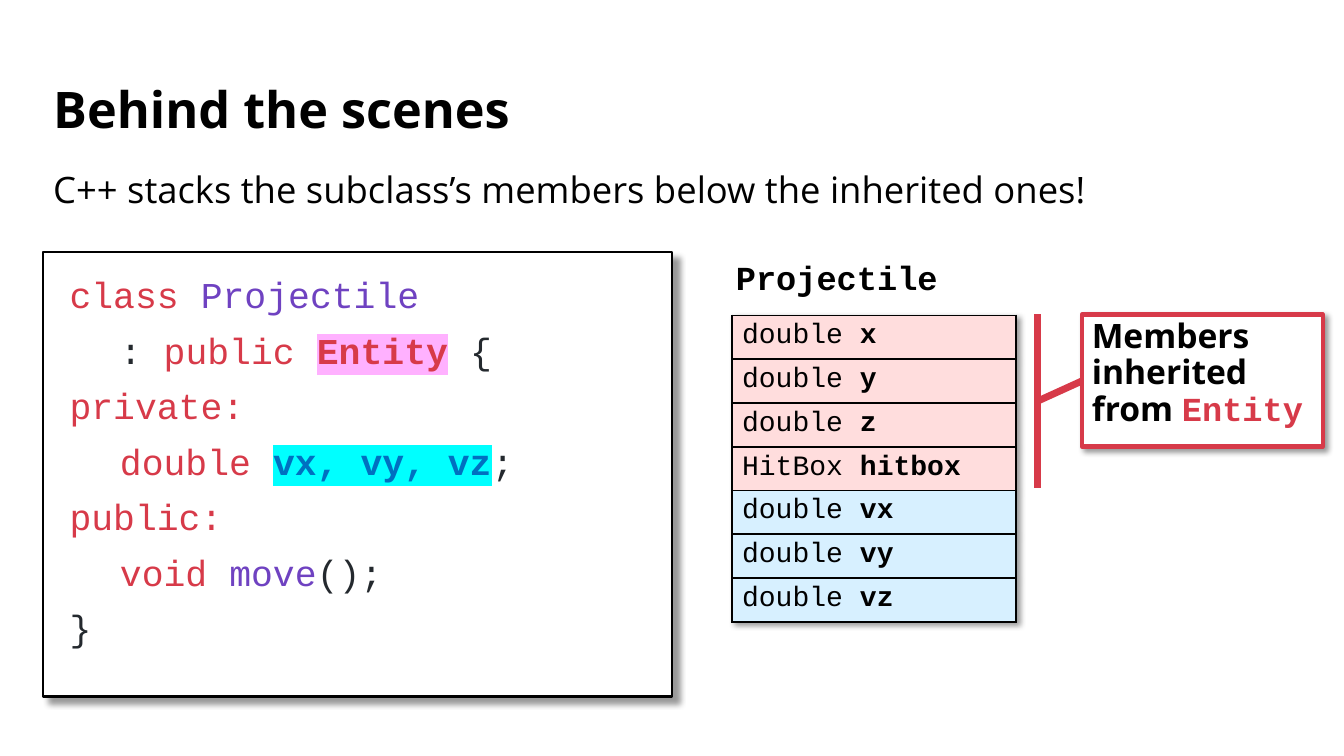
from dataclasses import dataclass

from lxml.etree import SubElement
from pptx import Presentation
from pptx.dml.color import RGBColor
from pptx.enum.shapes import MSO_CONNECTOR, MSO_SHAPE
from pptx.enum.text import MSO_ANCHOR
from pptx.oxml.ns import qn
from pptx.util import Inches, Pt


@dataclass(frozen=True)
class Theme:
    sans: str = "Open Sans"
    mono: str = "Courier New"
    title: int = 36
    body: int = 26
    label: int = 24
    member: int = 20
    black: str = "000000"
    white: str = "FFFFFF"
    keyword: str = "D73A49"
    name: str = "6F42C1"
    plain: str = "24292E"
    own: str = "0070C0"
    base_mark: str = "FFB1FF"
    own_mark: str = "00FFFF"
    inherited_row: str = "FFDDDD"
    own_row: str = "D7F0FF"


THEME = Theme()
KEYWORD = {"color": THEME.keyword}
NAME = {"color": THEME.name}
PLAIN = {"color": THEME.plain}
BASE = {"color": THEME.keyword, "bold": True, "mark": THEME.base_mark}
OWN = {"color": THEME.own, "bold": True, "mark": THEME.own_mark}

# Each line of code: indent level, then its coloured pieces
CODE = [
    (0, [("class ", KEYWORD), ("Projectile", NAME)]),
    (1, [(": ", PLAIN), ("public ", KEYWORD), ("Entity", BASE), (" {", PLAIN)]),
    (0, [("private:", KEYWORD)]),
    (1, [("double ", KEYWORD), ("vx, vy, vz", OWN), (";", PLAIN)]),
    (0, [("public:", KEYWORD)]),
    (1, [("void ", KEYWORD), ("move", NAME), ("();", PLAIN)]),
    (0, [("}", PLAIN)]),
]
INHERITED = [("double", "x"), ("double", "y"), ("double", "z"), ("HitBox", "hitbox")]
ADDED = [("double", "vx"), ("double", "vy"), ("double", "vz")]


def rgb(color):
    return RGBColor.from_string(color)


def add_run(paragraph, text, size, font=THEME.sans, color=THEME.black, bold=False, mark=None):
    run = paragraph.add_run()
    run.text = text
    for key, value in {"name": font, "size": Pt(size), "bold": bold}.items():
        setattr(run.font, key, value)
    run.font.color.rgb = rgb(color)
    if mark:
        highlight = SubElement(run.font._element, qn("a:highlight"))
        SubElement(highlight, qn("a:srgbClr"), val=mark)
        run.font._element.find(qn("a:solidFill")).addnext(highlight)


def set_frame(frame, inset=(0.1, 0.05), anchor=MSO_ANCHOR.TOP):
    side, end = map(Inches, inset)
    settings = {"word_wrap": True, "vertical_anchor": anchor,
                "margin_left": side, "margin_right": side,
                "margin_top": end, "margin_bottom": end}
    for key, value in settings.items():
        setattr(frame, key, value)


def add_text(slide, place, text, size, spacing=1.0, anchor=MSO_ANCHOR.TOP, **style):
    frame = slide.shapes.add_textbox(*map(Inches, place)).text_frame
    set_frame(frame, anchor=anchor)
    frame.paragraphs[0].line_spacing = spacing
    add_run(frame.paragraphs[0], text, size, **style)


def add_shadow(properties, distance):
    effects = properties.find(qn("a:effectLst"))
    if effects is None:
        effects = SubElement(properties, qn("a:effectLst"))
    shadow = SubElement(effects, qn("a:outerShdw"), blurRad=str(Pt(4)),
                        dist=str(Pt(distance)), dir=str(45 * 60000),
                        algn="tl", rotWithShape="0")
    color = SubElement(shadow, qn("a:srgbClr"), val=THEME.black)
    SubElement(color, qn("a:alpha"), val="40000")


def add_panel(slide, place, line_color, line_width, shadow_distance):
    panel = slide.shapes.add_shape(MSO_SHAPE.RECTANGLE, *map(Inches, place))
    panel.shadow.inherit = False
    panel.fill.solid()
    panel.fill.fore_color.rgb = rgb(THEME.white)
    panel.line.color.rgb = rgb(line_color)
    panel.line.width = Pt(line_width)
    add_shadow(panel._element.spPr, shadow_distance)
    return panel.text_frame


def add_code(slide, place):
    frame = add_panel(slide, place, THEME.black, 1.5, 6)
    set_frame(frame, inset=(0.25, 0.25))
    for number, (level, pieces) in enumerate(CODE):
        line = frame.add_paragraph() if number else frame.paragraphs[0]
        line._p.get_or_add_pPr().set("marL", str(Inches(0.01 + 0.5 * level)))
        line.alignment = 1
        line.line_spacing = 0.9
        line.space_before = Pt(11.6 if number else 0)
        for text, style in pieces:
            add_run(line, text, THEME.body, font=THEME.mono, **style)


def add_callout(slide, place):
    frame = add_panel(slide, place, THEME.keyword, 3, 3)
    set_frame(frame)
    note = frame.paragraphs[0]
    note.alignment = 1
    note.line_spacing = 0.9
    add_run(note, "Members inherited from ", THEME.label, bold=True)
    add_run(note, "Entity", THEME.label, font=THEME.mono, color=THEME.keyword, bold=True)


def add_borders(cell):
    properties = cell._tc.get_or_add_tcPr()
    for position, side in enumerate(("lnL", "lnR", "lnT", "lnB")):
        border = SubElement(properties, qn(f"a:{side}"), w=str(Pt(1.5)))
        fill = SubElement(border, qn("a:solidFill"))
        SubElement(fill, qn("a:srgbClr"), val=THEME.black)
        properties.insert(position, border)


def add_memory_layout(slide, left, top, width, row_height):
    members = [(member, THEME.inherited_row) for member in INHERITED]
    members += [(member, THEME.own_row) for member in ADDED]
    layout = slide.shapes.add_table(len(members), 1, *map(
        Inches, (left, top, width, row_height * len(members)))).table
    layout.first_row = layout.horz_banding = False
    properties = layout._tbl.tblPr
    style_id = properties.find(qn("a:tableStyleId"))
    add_shadow(properties, 3)
    properties.append(style_id)
    for row, ((kind, name), color) in enumerate(members):
        cell = layout.cell(row, 0)
        cell.fill.solid()
        cell.fill.fore_color.rgb = rgb(color)
        add_borders(cell)
        line = cell.text_frame.paragraphs[0]
        add_run(line, f"{kind} ", THEME.member, font=THEME.mono)
        add_run(line, name, THEME.member, font=THEME.mono, bold=True)


def add_line(slide, *ends):
    line = slide.shapes.add_connector(MSO_CONNECTOR.STRAIGHT, *map(Inches, ends))
    line.line.color.rgb = rgb(THEME.keyword)
    line.line.width = Pt(5)
    SubElement(line._element.spPr, qn("a:effectLst"))


def main():
    deck = Presentation()
    deck.slide_width, deck.slide_height = Inches(13.33), Inches(7.5)
    slide = deck.slides.add_slide(deck.slide_layouts[6])
    add_text(slide, (0.43, 0.69, 12.47, 0.84), "Behind the scenes", THEME.title,
             spacing=0.9, anchor=MSO_ANCHOR.MIDDLE, bold=True)
    add_code(slide, (0.43, 2.5, 6.24, 4.41))
    add_text(slide, (0.43, 1.69, 12.47, 0.47),
             "C++ stacks the subclass’s members below the inherited ones!",
             THEME.body, spacing=0.8)
    add_memory_layout(slide, 7.26, 3.13, 2.82, 0.41)
    add_text(slide, (7.2, 2.5, 2.39, 0.5), "Projectile", THEME.label,
             font=THEME.mono, bold=True)
    add_line(slide, 10.29, 4.84, 10.29, 3.12)
    add_callout(slide, (10.73, 3.12, 2.39, 1.31))
    add_line(slide, 10.73, 3.78, 10.29, 3.98)
    deck.save("out.pptx")


if __name__ == "__main__":
    main()
